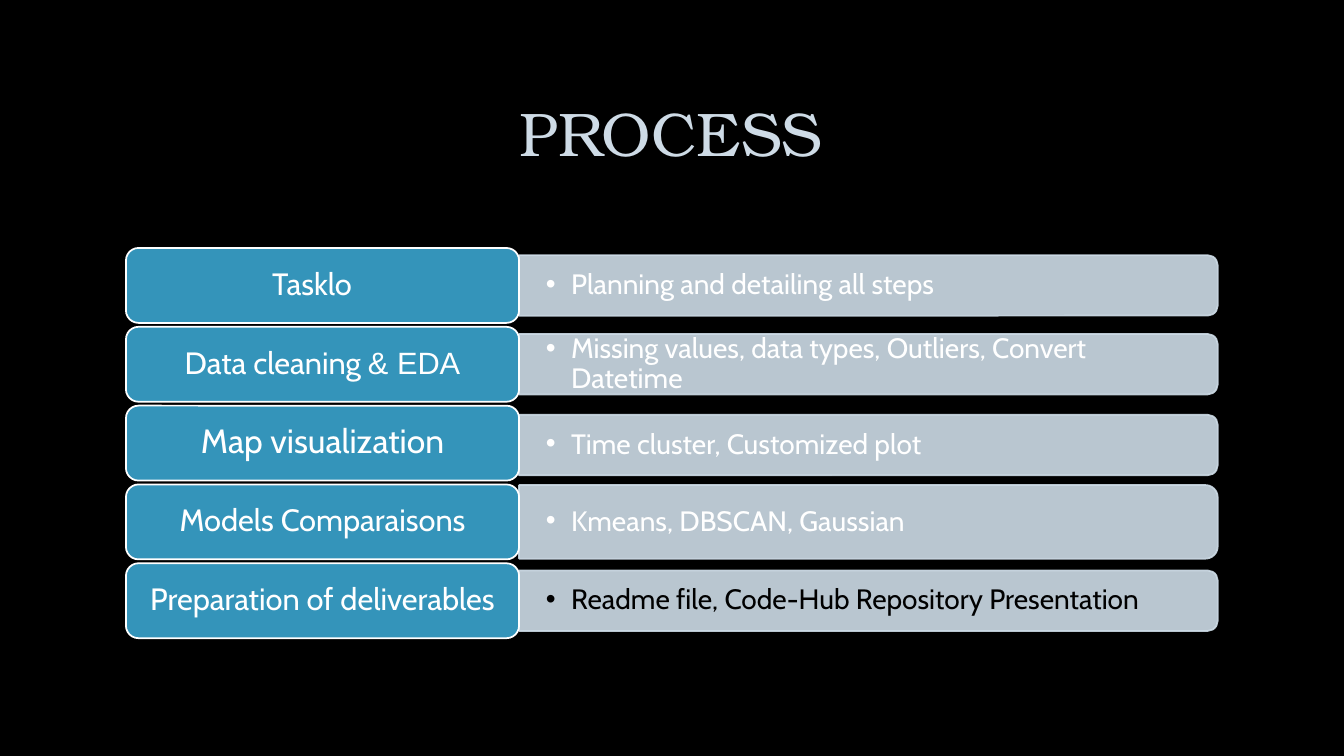
"""Build the project process slide: five stages, each with its details."""
from lxml.etree import SubElement
from pptx import Presentation
from pptx.dml.color import RGBColor
from pptx.enum.shapes import MSO_SHAPE
from pptx.enum.text import MSO_ANCHOR, PP_ALIGN
from pptx.oxml.ns import qn
from pptx.util import Pt

BLACK = RGBColor(0x00, 0x00, 0x00)
WHITE = RGBColor(0xFF, 0xFF, 0xFF)
TITLE_BLUE = RGBColor(0xCE, 0xDB, 0xE6)
STAGE_BLUE = RGBColor(0x34, 0x94, 0xBA)
BAR_BLUE = RGBColor(0xCE, 0xDC, 0xE7)

TITLE = "PROCESS"
STAGES = [
    {"label": [("Tasklo\t", "Cabin")], "size": 22, "color": WHITE,
     "details": "Planning and detailing all steps", "bar": 43.2, "shift": 0},
    {"label": [("Data cleaning ", "Cabin"), ("& EDA", "Arial")], "size": 22, "color": WHITE,
     "details": "Missing values, data types, Outliers, Convert Datetime", "bar": 43.2, "shift": 0},
    {"label": [("Map visualization", "Cabin")], "size": 24, "color": WHITE,
     "details": "Time cluster, Customized plot", "bar": 43.2, "shift": 1.4},
    {"label": [("Models Comparaisons", "Cabin")], "size": 22, "color": WHITE,
     "details": "Kmeans, DBSCAN, Gaussian", "bar": 52.6, "shift": 0},
    {"label": [("Preparation of deliverables", "Cabin")], "size": 22, "color": BLACK,
     "details": "Readme file, Code-Hub Repository Presentation", "bar": 43.2, "shift": 0},
]

LABEL_LEFT, LABEL_WIDTH, LABEL_HEIGHT = 90, 280.8, 53.5
FIRST_CENTER, PITCH = 203.9, 56.3
BAR_LEFT, BAR_LENGTH = LABEL_LEFT + LABEL_WIDTH, 499


def style(run, font, size, color):
    run.font.name = font
    run.font.size = Pt(size)
    run.font.color.rgb = color


def paint(shape, fill, line):
    shape.shadow.inherit = False
    shape.fill.solid()
    shape.fill.fore_color.rgb = fill
    shape.line.color.rgb = line
    shape.line.width = Pt(1.25)


def set_frame(frame, side, end):
    frame.word_wrap = True
    frame.vertical_anchor = MSO_ANCHOR.MIDDLE
    frame.margin_left = frame.margin_right = Pt(side)
    frame.margin_top = frame.margin_bottom = Pt(end)
    frame.paragraphs[0].line_spacing = 0.9


def add_bar(shapes, center, height):
    bar = shapes.add_shape(
        MSO_SHAPE.ROUND_2_SAME_RECTANGLE,
        Pt(BAR_LEFT + (BAR_LENGTH - height) / 2), Pt(center - BAR_LENGTH / 2),
        Pt(height), Pt(BAR_LENGTH))
    bar.rotation = 90
    paint(bar, BAR_BLUE, BAR_BLUE)
    for color in bar._element.spPr.iter(qn("a:srgbClr")):
        SubElement(color, qn("a:alpha"), val="90000")


def add_details(shapes, center, height, text, color):
    box_height = height - 4.6
    details = shapes.add_textbox(
        Pt(BAR_LEFT), Pt(center - box_height / 2), Pt(BAR_LENGTH - 2), Pt(box_height))
    set_frame(details.text_frame, 19.2, 9.8)
    paragraph = details.text_frame.paragraphs[0]
    paragraph.text = text
    properties = paragraph._p.get_or_add_pPr()
    properties.set("marL", str(Pt(18)))
    properties.set("indent", str(Pt(-18)))
    SubElement(properties, qn("a:buFont"), typeface="Arial")
    SubElement(properties, qn("a:buChar"), char="•")
    style(paragraph.runs[0], "Cabin", 20, color)


def add_label(shapes, center, parts, size):
    label = shapes.add_shape(
        MSO_SHAPE.ROUNDED_RECTANGLE, Pt(LABEL_LEFT), Pt(center - LABEL_HEIGHT / 2),
        Pt(LABEL_WIDTH), Pt(LABEL_HEIGHT))
    paint(label, STAGE_BLUE, WHITE)
    set_frame(label.text_frame, 7.2, 3.6)
    paragraph = label.text_frame.paragraphs[0]
    paragraph.alignment = PP_ALIGN.CENTER
    for text, font in parts:
        run = paragraph.add_run()
        run.text = text
        style(run, font, size, WHITE)


def main():
    deck = Presentation()
    deck.slide_width, deck.slide_height = Pt(960), Pt(540)
    slide = deck.slides.add_slide(deck.slide_layouts[5])
    slide.background.fill.solid()
    slide.background.fill.fore_color.rgb = BLACK

    title = slide.shapes.title
    title.left, title.top, title.width, title.height = Pt(72), Pt(48), Pt(815), Pt(99.4)
    title.text_frame.text = TITLE
    set_frame(title.text_frame, 7.2, 3.6)
    title.text_frame.paragraphs[0].alignment = PP_ALIGN.CENTER
    style(title.text_frame.paragraphs[0].runs[0], "TeX Gyre Bonum", 44, TITLE_BLUE)

    for row, stage in enumerate(STAGES):
        center = FIRST_CENTER + row * PITCH
        bar_center = center + stage["shift"]
        add_bar(slide.shapes, bar_center, stage["bar"])
        add_details(slide.shapes, bar_center, stage["bar"], stage["details"], stage["color"])
        add_label(slide.shapes, center, stage["label"], stage["size"])

    deck.save("out.pptx")


if __name__ == "__main__":
    main()
